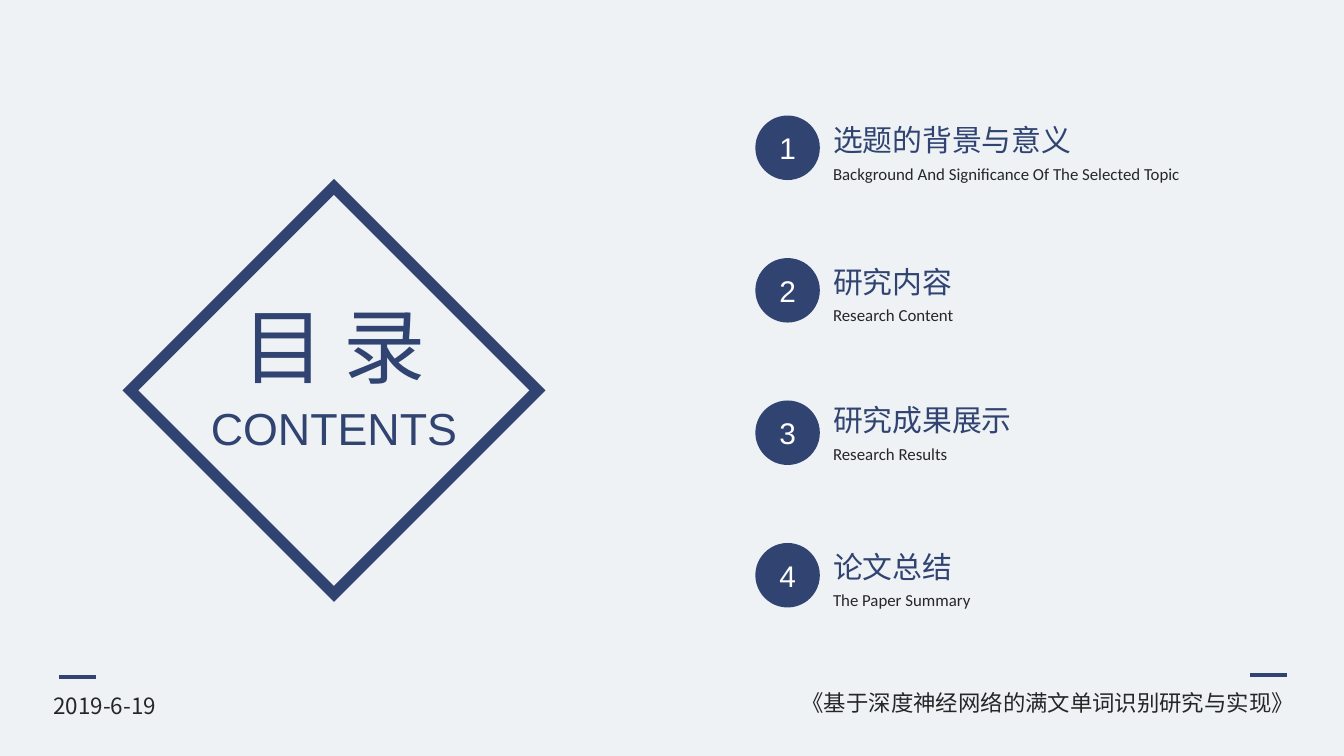
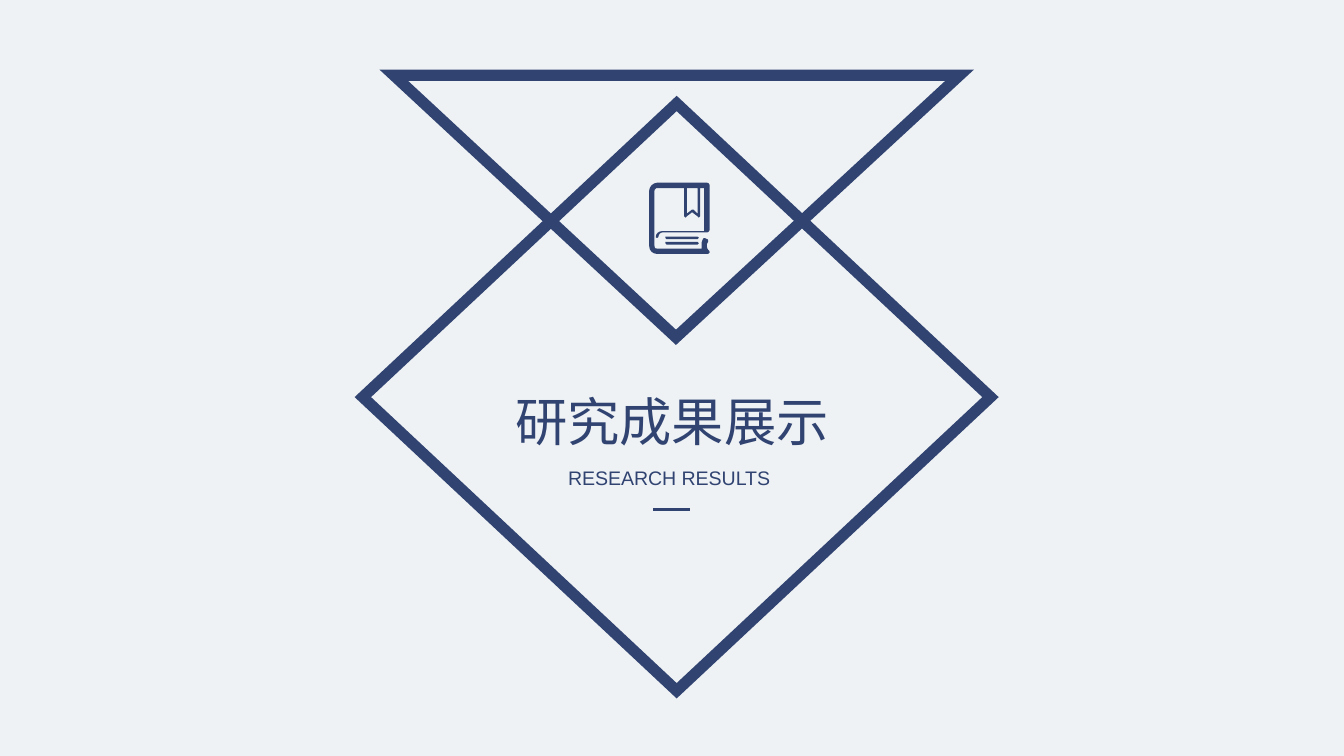
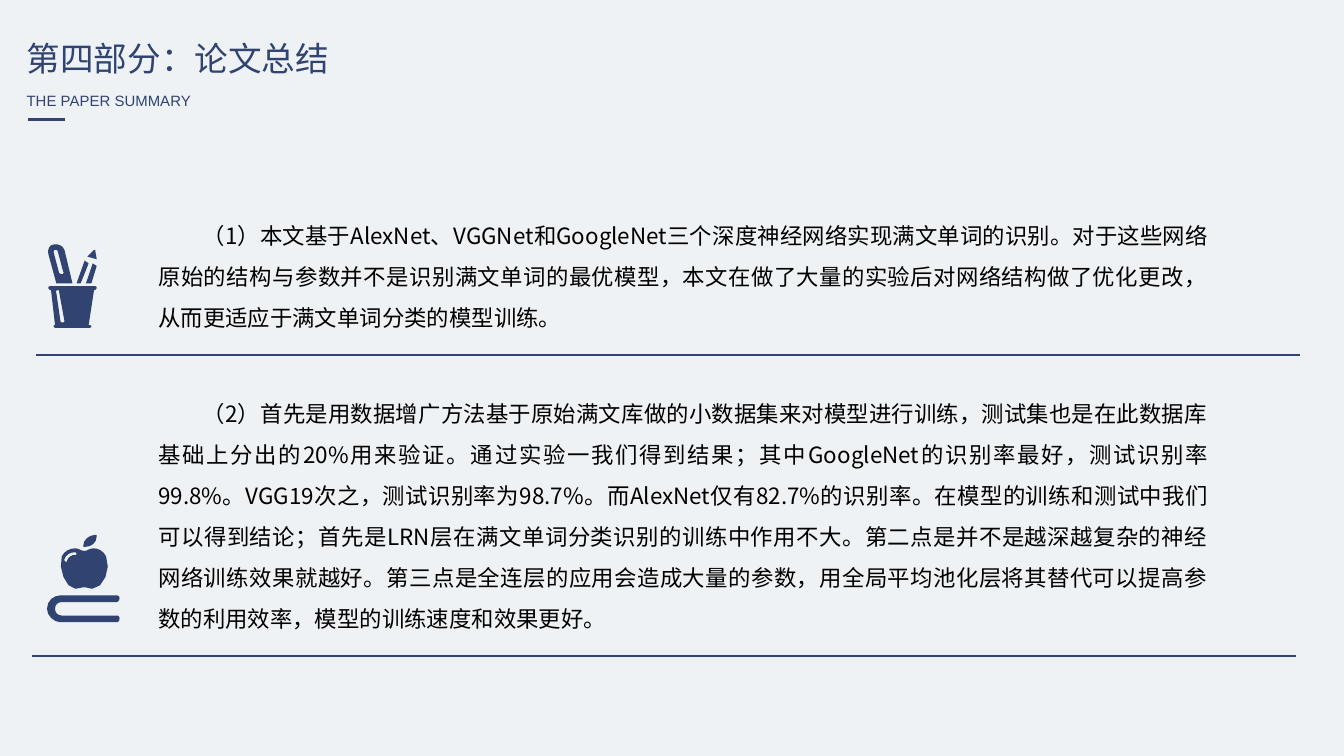
import pptx
import pptx.dml.color
import pptx.enum.shapes
import pptx.enum.text
import pptx.oxml
import pptx.oxml.ns
import pptx.util
from dataclasses import dataclass

Shape = pptx.enum.shapes.MSO_SHAPE
Align = pptx.enum.text.PP_ALIGN
Pt = pptx.util.Pt


@dataclass(frozen=True)
class Theme:
    back: str = "EEF2F5"
    navy: str = "304371"
    ink: str = "262626"
    black: str = "000000"
    white: str = "FFFFFF"
    cjk: str = "Noto Sans CJK SC"
    sans: str = "Arial"
    body: str = "Calibri"
    hero: float = 44
    large: float = 28
    label: float = 24
    head: float = 18
    item: float = 16
    text: float = 12
    sub: float = 10.5
    note: float = 9
    small: float = 8
    frame: float = 6
    dash: float = 2.25
    thin: float = 1.5
    rule: float = 1
    lead: float = 22


T = Theme()
WIDE = pptx.util.Inches(10)
HIGH = pptx.util.Inches(5.625)
UNIT = WIDE / 100  # the grid is 100 square columns across


def grid(*vals):
    return [round(v * UNIT) for v in vals]


def hue(code):
    return pptx.dml.color.RGBColor.from_string(code)


def node(tag):
    return pptx.oxml.parse_xml(f"<a:{tag} {pptx.oxml.ns.nsdecls('a')}/>")


# Text
def write(frame, words, size, font, tint, align=Align.LEFT):
    para = frame.paragraphs[0]
    para.text = words
    para.alignment = align
    para.font.size = Pt(size)
    para.font.color.rgb = hue(tint)
    para.font.name = font
    props = para._p.get_or_add_pPr()
    east = node("ea")
    east.set("typeface", font)
    props.find(pptx.oxml.ns.qn("a:defRPr")).append(east)
    return para


def text(slide, box, words, size, font, tint, align=Align.LEFT, wrap=False):
    frame = slide.shapes.add_textbox(*grid(*box)).text_frame
    frame.word_wrap = wrap
    frame.auto_size = pptx.enum.text.MSO_AUTO_SIZE.SHAPE_TO_FIT_TEXT
    return write(frame, words, size, font, tint, align)


# Lines and outlines
def line(slide, x, y, long, width):
    kind = pptx.enum.shapes.MSO_CONNECTOR.STRAIGHT
    rule = slide.shapes.add_connector(kind, *grid(x, y, x + long, y))
    rule.line.color.rgb = hue(T.navy)
    rule.line.width = Pt(width)
    rule._element.spPr.append(node("effectLst"))


def dash(slide, x, y, width):
    line(slide, x, y, 2.75, width)


def solid(shape):
    shape.shadow.inherit = False
    shape.fill.solid()
    shape.fill.fore_color.rgb = hue(T.navy)
    shape.line.fill.background()


def hollow(shape):
    shape.shadow.inherit = False
    shape.fill.background()
    shape.line.color.rgb = hue(T.navy)
    shape.line.width = Pt(T.frame)
    miter = node("miter")
    miter.set("lim", "800000")
    shape.line._get_or_add_ln().append(miter)


def diamond(slide, box):
    hollow(slide.shapes.add_shape(Shape.DIAMOND, *grid(*box)))


# Outlines: "x,y" is a corner, six numbers are a Bezier curve
def trace(route):
    pts = []
    for step in route.split():
        v = [float(n) for n in step.split(",")]
        if len(v) == 2:
            pts.append(tuple(v))
            continue
        ends = [pts[-1], *zip(v[::2], v[1::2])]
        for t in (0.25, 0.5, 0.75, 1):
            mix = ((1 - t) ** 3, 3 * t * (1 - t) ** 2, 3 * t * t * (1 - t), t ** 3)
            pts.append(tuple(sum(m * p[k] for m, p in zip(mix, ends)) for k in (0, 1)))
    return pts


def draw(slide, x, y, routes):
    pen = None
    for route in routes:
        pts = [tuple(grid(x + a / 10, y + b / 10)) for a, b in trace(route)]
        if pen is None:
            pen = slide.shapes.build_freeform(*pts[0])
        else:
            pen.move_to(*pts[0])
        pen.add_line_segments(pts[1:], close=True)
    return pen.convert_to_shape()


# Icons, in tenths of a column
BOOK = [
    ["12,40 36,40 37,41 36,42 13,42 12,41"],
    ["12,44 36,44 37,45 36,46 13,46 12,45"],
    ["43,37 44,37,45,36,45,35 45,2 45,1,44,0,43,0 6,0 3,0,0,3,0,6 0,47 "
     "0,51,3,53,6,53 43,53 44,53,44,53,45,52 45,51,45,51,44,50 43,49,43,48,43,46 "
     "43,46,43,45,44,44 44,43,44,42,43,42 42,41,40,41,40,42 39,44,39,45,39,46 "
     "39,49 6,49 5,49,4,49,4,47 4,6 4,5,5,4,6,4 26,4 26,25 27,26 28,25 32,22 "
     "36,25 37,26 38,25 38,4 41,4 41,36 10,36 7,36,5,38,5,40 5,41,5,41,6,41 "
     "6,41,7,41,7,40 7,39,8,37,10,37",
     "36,23 33,20 32,20 28,23 28,4 36,4"],
]
CUP = [
    "34,15 37,17 33,30 29,30",
    "36,6 36,5,36,5,35,5 30,10 37,12",
    "25,30 31,15 28,13 22,30",
    "1,8 0,5,2,1,5,1 8,0,12,2,13,5 19,30 7,30",
    "5,7 9,22 10,23,10,23,11,23 12,23,13,22,12,21 8,6 8,5,7,5,6,5 5,5,5,6,5,7",
    "35,32 3,32 2,32,1,32,1,33 1,34,2,35,3,35 6,61 5,61,5,61,5,62 5,63,6,63,7,63 "
    "31,63 32,63,33,63,33,62 33,61,32,61,31,61 35,35 36,35,37,34,37,33 37,32,36,32,35,32",
    "11,59 11,59,10,59,10,58 7,37 6,36,7,35,8,35 9,35,9,35,9,36 13,58 13,59,12,59,11,59",
]
APPLE = [
    "54,62 54,64,53,65,52,65 10,65 5,65,0,60,0,55 0,49,5,45,10,45 52,45 "
    "53,45,54,46,54,47 54,48,53,50,52,50 11,50 8,50,6,52,6,55 6,58,8,60,11,60 "
    "52,60 53,60,54,61,54,62",
    "28,9 33,9,37,6,37,1 37,0 36,0 31,0,27,4,27,8 27,9",
    "44,16 42,12,38,10,35,10 31,10,30,12,28,12 25,12,24,10,21,10 17,10,13,12,11,16 "
    "8,25,14,40,21,40 24,40,25,39,28,39 30,39,31,40,34,40 42,40,48,25,44,16",
    "21,15 20,15 19,15,16,16,15,19 15,20,15,20,14,20 13,20,13,19,13,18 "
    "14,15,17,13,20,13 21,13 21,13,22,13,22,14 22,15,21,15,21,15",
]


def icon(slide, x, y, *parts):
    for part in parts:
        solid(draw(slide, x, y, part))


# Contents slide
ITEMS = [  # title, its row, subtitle, subtitle width
    ("选题的背景与意义", 0, "Background And Significance Of The Selected Topic", 28),
    ("研究内容", 10.5, "Research Content", 11.1),
    ("研究成果展示", 20.8, "Research Results", 10.9),
    ("论文总结", 31.7, "The Paper Summary", 12.3),
]


def badge(slide, x, y, num):
    disc = slide.shapes.add_shape(Shape.OVAL, *grid(x, y, 4.8, 4.8))
    solid(disc)
    disc.text_frame.vertical_anchor = pptx.enum.text.MSO_ANCHOR.MIDDLE
    write(disc.text_frame, str(num), T.item, T.sans, T.white, Align.CENTER)


def agenda(slide, x, y):
    for i, (name, row, sub, wide) in enumerate(ITEMS):
        left, top = x + 4.8, y + row
        badge(slide, x, y + 10.6 * i, i + 1)
        text(slide, (left, top, 2 + 2.25 * len(name), 3.7), name, T.item, T.cjk, T.navy)
        text(slide, (left, top + 3.1, wide, 2.5), sub, T.note, T.body, T.ink)


def emblem(slide, x, y, side):
    diamond(slide, (x, y, side, side))
    mid = x + side / 2
    text(slide, (mid - 8.1, y + 7.6, 16.2, 8.4), "目 录", T.hero, T.cjk, T.navy, Align.CENTER)
    text(slide, (mid - 10.25, y + 15.4, 20.5, 5), "CONTENTS", T.label, T.sans, T.navy,
         Align.CENTER)


def footer(slide, y):
    dash(slide, 4.4, y + 0.2, T.dash)
    text(slide, (3, y + 0.8, 10.4, 3), "2019-6-19", T.text, T.cjk, T.ink)
    dash(slide, 93, y, T.dash)
    text(slide, (58.3, y + 0.6, 39, 3), "《基于深度神经网络的满文单词识别研究与实现》",
         T.text, T.cjk, T.ink, Align.RIGHT)


def contents(slide):
    emblem(slide, 9.7, 13.9, 30.3)
    agenda(slide, 56.2, 8.6)
    footer(slide, 50.2)


# Section slide
def section(slide, x=27, y=5.6):
    hollow(draw(slide, x + 2.3, y, ["0,0 421,0 210,195"]))
    diamond(slide, (x, y + 2.1, 46.7, 43.7))
    icon(slide, x + 21.3, y + 8, *BOOK)
    text(slide, (x + 10.2, y + 22.9, 25.6, 5.7), "研究成果展示", T.large, T.cjk, T.navy,
         Align.CENTER)
    text(slide, (x + 14.1, y + 28.6, 17.8, 2.8), "RESEARCH RESULTS ", T.sub, T.sans, T.navy,
         Align.CENTER)
    dash(slide, x + 21.6, y + 32.3, T.thin)


# Summary slide
FIRST = (
    "（1）本文基于AlexNet、VGGNet和GoogleNet三个深度神经网络实现满文单词的识别。"
    "对于这些网络原始的结构与参数并不是识别满文单词的最优模型，"
    "本文在做了大量的实验后对网络结构做了优化更改，从而更适应于满文单词分类的模型训练。"
)
SECOND = (
    "（2）首先是用数据增广方法基于原始满文库做的小数据集来对模型进行训练，"
    "测试集也是在此数据库基础上分出的20%用来验证。通过实验一我们得到结果；"
    "其中GoogleNet的识别率最好，测试识别率99.8%。VGG19次之，测试识别率为98.7%。"
    "而AlexNet仅有82.7%的识别率。在模型的训练和测试中我们可以得到结论；"
    "首先是LRN层在满文单词分类识别的训练中作用不大。"
    "第二点是并不是越深越复杂的神经网络训练效果就越好。"
    "第三点是全连层的应用会造成大量的参数，用全局平均池化层将其替代可以提高参数的利用效率，"
    "模型的训练速度和效果更好。"
)


def header(slide, x, y, name, sub):
    text(slide, (x, y, 24.7, 4), name, T.head, T.cjk, T.navy)
    text(slide, (x, y + 4, 14.4, 2.4), sub, T.small, T.sans, T.navy)
    dash(slide, x + 1.1, y + 6.6, T.thin)


def point(slide, box, words, left):
    x, y, wide, high = box
    para = text(slide, box, words, T.text, T.cjk, T.black, Align.JUSTIFY, True)
    para.line_spacing = Pt(T.lead)
    props = para._p.get_or_add_pPr()
    props.set("marL", "0")
    props.set("indent", str(grid(3.3)[0]))
    line(slide, left, y + high + 1.5, 94, T.rule)


def summary(slide):
    header(slide, 1, 2.3, "第四部分：论文总结", "THE PAPER SUMMARY")
    point(slide, (10.8, 15, 80.1, 9.9), FIRST, 2.7)
    point(slide, (10.8, 28.2, 80.1, 19.1), SECOND, 2.4)
    icon(slide, 3.5, 18.1, CUP)
    icon(slide, 3.5, 39.8, APPLE)


def main():
    deck = pptx.Presentation()
    deck.slide_width, deck.slide_height = WIDE, HIGH
    for build in (contents, section, summary):
        slide = deck.slides.add_slide(deck.slide_layouts[6])
        slide.background.fill.solid()
        slide.background.fill.fore_color.rgb = hue(T.back)
        build(slide)
    deck.save("out.pptx")


if __name__ == "__main__":
    main()
